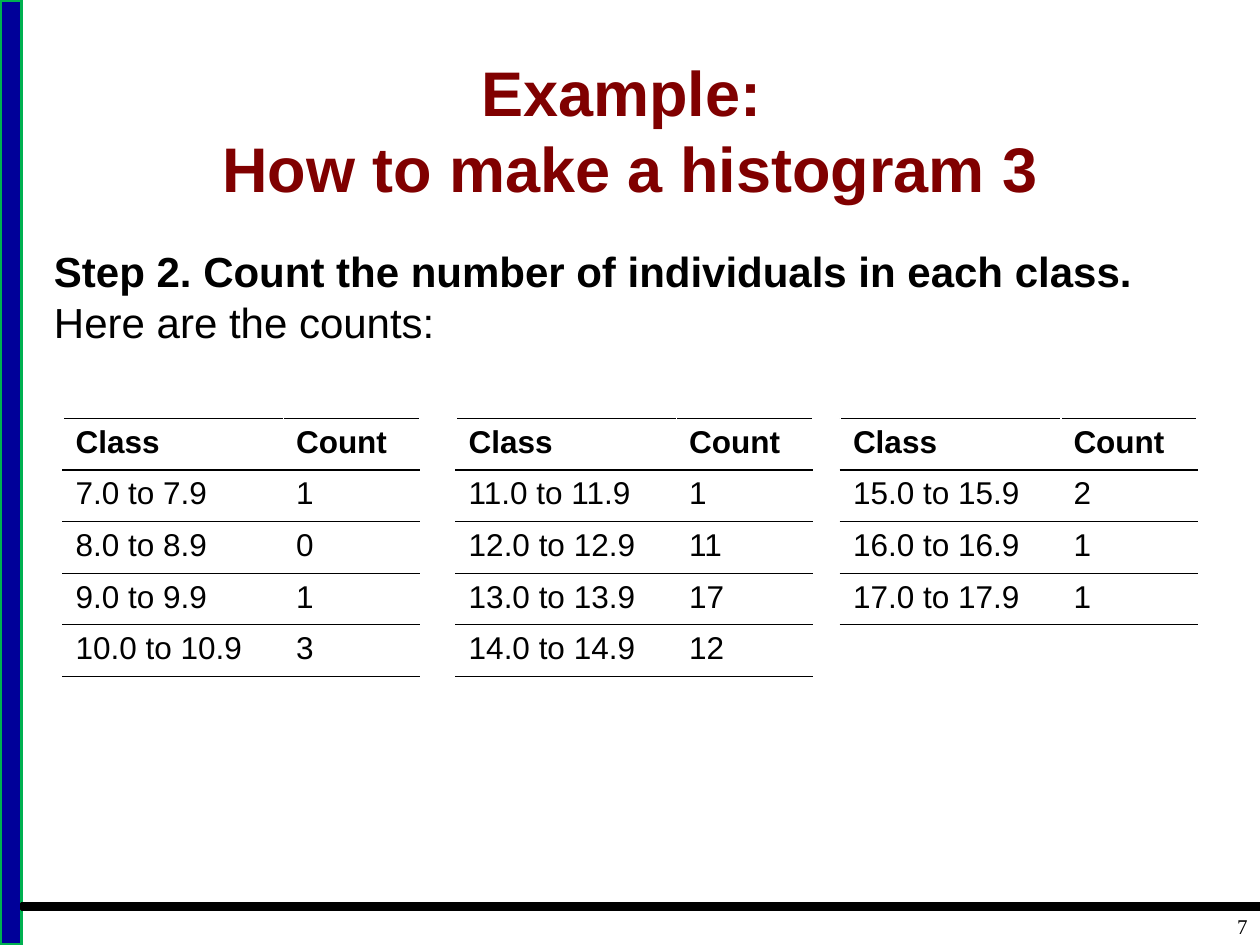
from dataclasses import dataclass

from lxml.etree import SubElement
from pptx import Presentation
from pptx.dml.color import RGBColor
from pptx.enum.shapes import MSO_SHAPE
from pptx.enum.text import MSO_ANCHOR, PP_ALIGN
from pptx.oxml.ns import qn
from pptx.util import Inches, Pt


@dataclass(frozen=True)
class Theme:
    sans: str = "Arial"
    serif: str = "Times New Roman"
    black: str = "000000"
    white: str = "FFFFFF"
    maroon: str = "800000"
    navy: str = "000099"
    green: str = "00B050"
    title: int = 36
    body: int = 24
    cell: int = 18
    number: int = 12
    line: float = 2
    rule: float = 1
    thin_rule: float = 0.75


THEME = Theme()
COL_WIDTHS = (1.75, 1.08)
ROW_HEIGHT = 0.41
HEADER = ("Class", "Count")
TABLES = [
    (0.5, [("7.0 to 7.9", "1"), ("8.0 to 8.9", "0"),
           ("9.0 to 9.9", "1"), ("10.0 to 10.9", "3")]),
    (3.62, [("11.0 to 11.9", "1"), ("12.0 to 12.9", "11"),
            ("13.0 to 13.9", "17"), ("14.0 to 14.9", "12")]),
    (6.67, [("15.0 to 15.9", "2"), ("16.0 to 16.9", "1"),
            ("17.0 to 17.9", "1")]),
]


def add_run(p, text, size, color=THEME.black, bold=False, font=THEME.sans):
    r = p.add_run()
    r.text = text
    r.font.size = Pt(size)
    r.font.name = font
    r.font.bold = bold
    r.font.color.rgb = RGBColor.from_string(color)


def add_text_box(s, box, align=PP_ALIGN.LEFT, anchor=MSO_ANCHOR.TOP):
    tf = s.shapes.add_textbox(*map(Inches, box)).text_frame
    tf.word_wrap = True
    tf.vertical_anchor = anchor
    p = tf.paragraphs[0]
    p.alignment = align
    return p


def add_bar(s, box, fill, line):
    sp = s.shapes.add_shape(MSO_SHAPE.RECTANGLE, *map(Inches, box))
    sp.shadow.inherit = False
    sp.fill.solid()
    sp.fill.fore_color.rgb = RGBColor.from_string(fill)
    sp.line.color.rgb = RGBColor.from_string(line)
    sp.line.width = Pt(THEME.line)


def add_title(s, box):
    p = add_text_box(s, box, PP_ALIGN.CENTER, MSO_ANCHOR.MIDDLE)
    add_run(p, "Example: ", THEME.title, THEME.maroon, bold=True)
    p.add_line_break()
    add_run(p, "How to make a histogram 3", THEME.title, THEME.maroon, bold=True)


def add_step(s, box):
    p = add_text_box(s, box)
    add_run(p, "Step 2. Count the number of individuals in each class.",
            THEME.body, bold=True)
    add_run(p, " Here are the counts:", THEME.body)


def add_page_number(s, box):
    p = add_text_box(s, box, PP_ALIGN.RIGHT)
    add_run(p, "7", THEME.number, font=THEME.serif)


def set_borders(cell, top, bottom):
    """Black rules above and below, white ones at the sides."""
    tc_pr = cell._tc.get_or_add_tcPr()
    sides = (("a:lnL", THEME.white, THEME.rule), ("a:lnR", THEME.white, THEME.rule),
             ("a:lnT", THEME.black, top), ("a:lnB", THEME.black, bottom))
    for i, (tag, color, width) in enumerate(sides):
        ln = SubElement(tc_pr, qn(tag), w=str(Pt(width)))
        fill = SubElement(ln, qn("a:solidFill"))
        SubElement(fill, qn("a:srgbClr"), val=color)
        tc_pr.insert(i, ln)  # borders come before the cell fill


def add_count_table(s, left, top, counts):
    rows = [HEADER, *counts]
    table = s.shapes.add_table(
        len(rows), len(HEADER), Inches(left), Inches(top),
        Inches(sum(COL_WIDTHS)), Inches(ROW_HEIGHT * len(rows))).table
    for column, width in zip(table.columns, COL_WIDTHS):
        column.width = Inches(width)
    for i, values in enumerate(rows):
        table.rows[i].height = Inches(ROW_HEIGHT)
        above = THEME.rule if i < 2 else THEME.thin_rule
        below = THEME.rule if i == 0 else THEME.thin_rule
        for j, value in enumerate(values):
            cell = table.cell(i, j)
            cell.fill.solid()
            cell.fill.fore_color.rgb = RGBColor.from_string(THEME.white)
            set_borders(cell, above, below)
            add_run(cell.text_frame.paragraphs[0], value, THEME.cell, bold=i == 0)


def main():
    prs = Presentation()
    prs.slide_width, prs.slide_height = Inches(10), Inches(7.5)
    s = prs.slides.add_slide(prs.slide_layouts[6])

    # Frame: side bar, page number, footer rule
    add_bar(s, (0, 0, 0.17, 7.5), THEME.navy, THEME.green)
    add_page_number(s, (9.5, 7.2, 0.5, 0.3))
    add_bar(s, (0.17, 7.17, 9.83, 0.05), THEME.black, THEME.black)

    # Heading and step
    add_title(s, (0.5, 0.4, 9, 1.25))
    add_step(s, (0.33, 1.9, 9.42, 0.91))

    # Class counts
    for left, counts in TABLES:
        add_count_table(s, left, 3.32, counts)

    prs.save("out.pptx")


if __name__ == "__main__":
    main()
